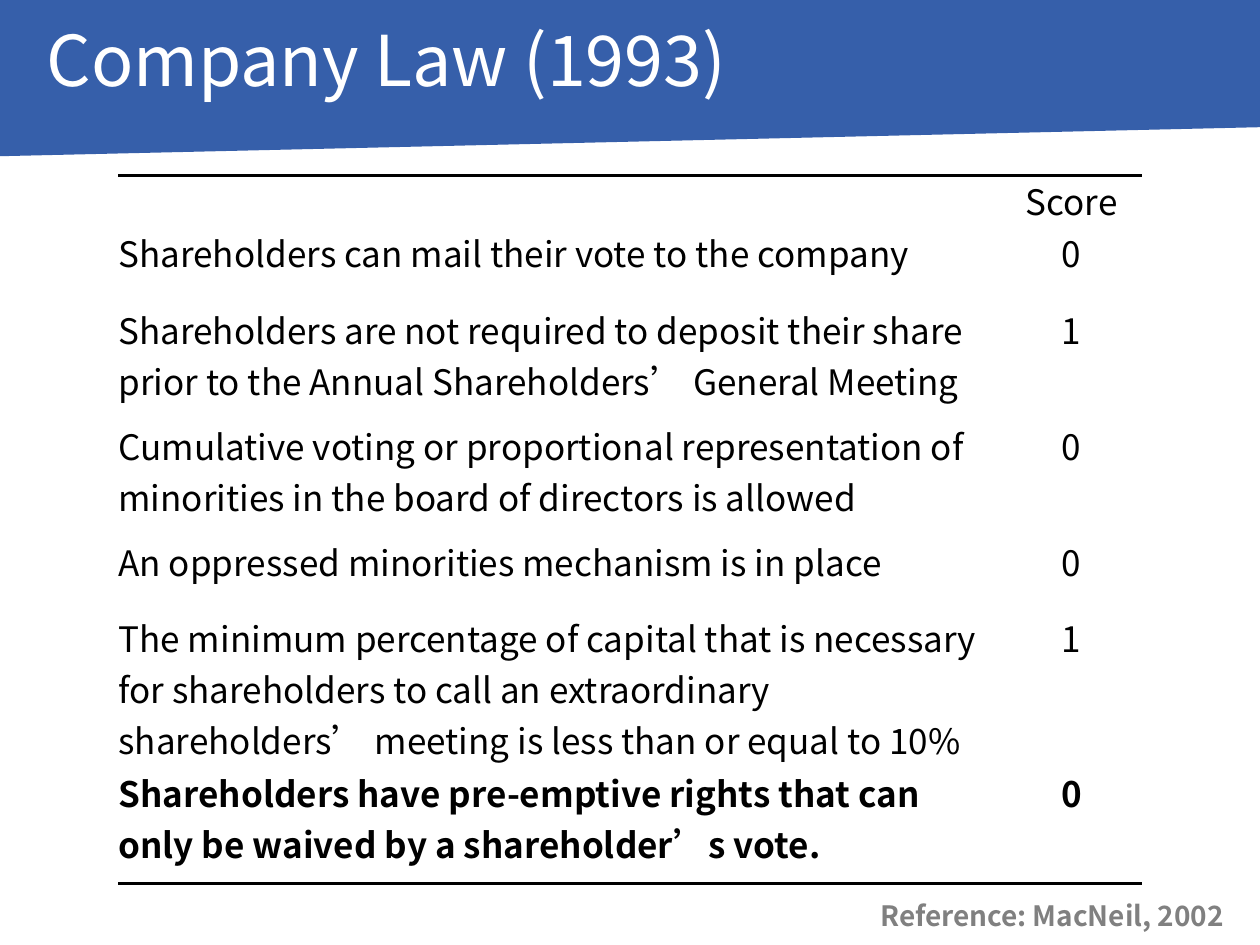
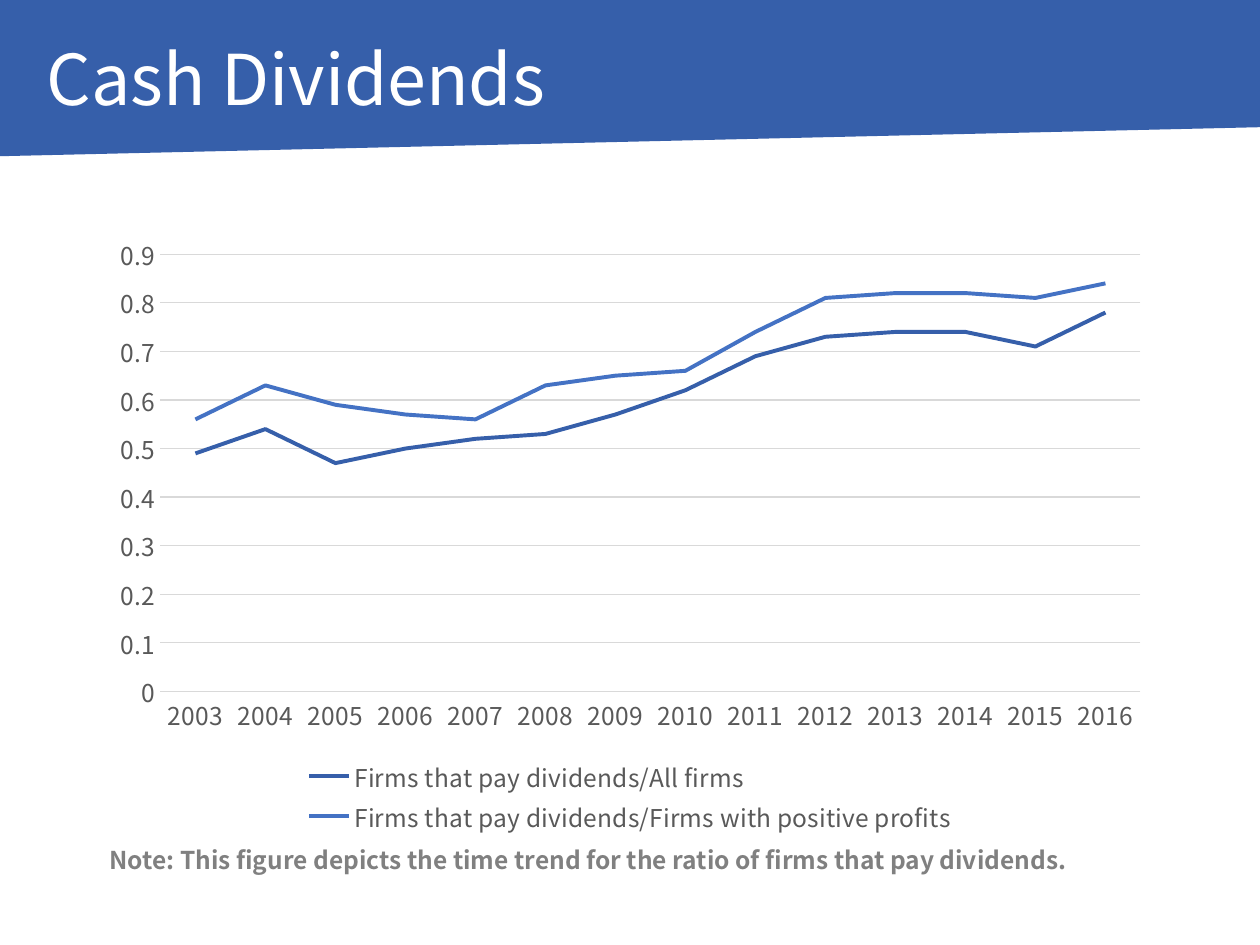
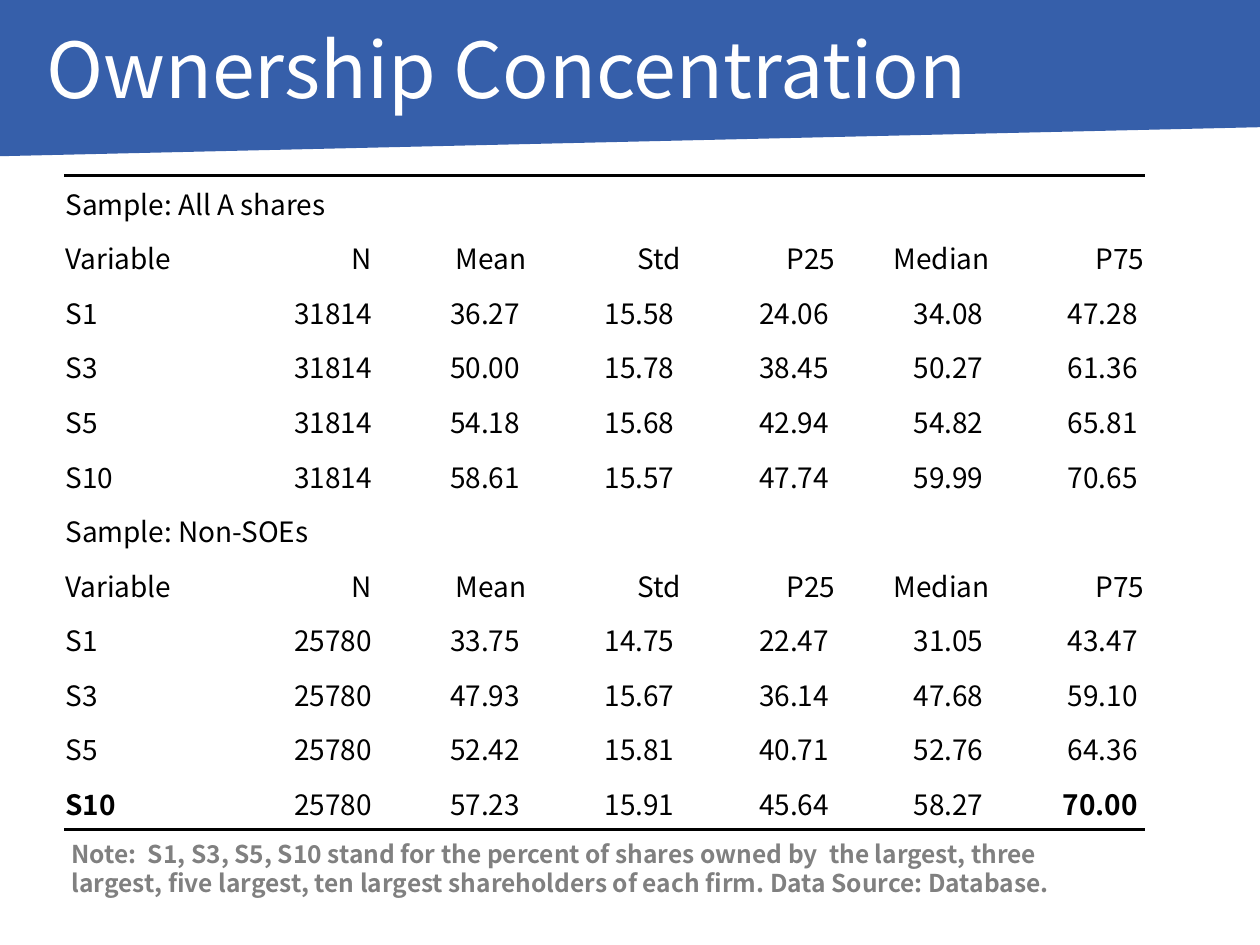
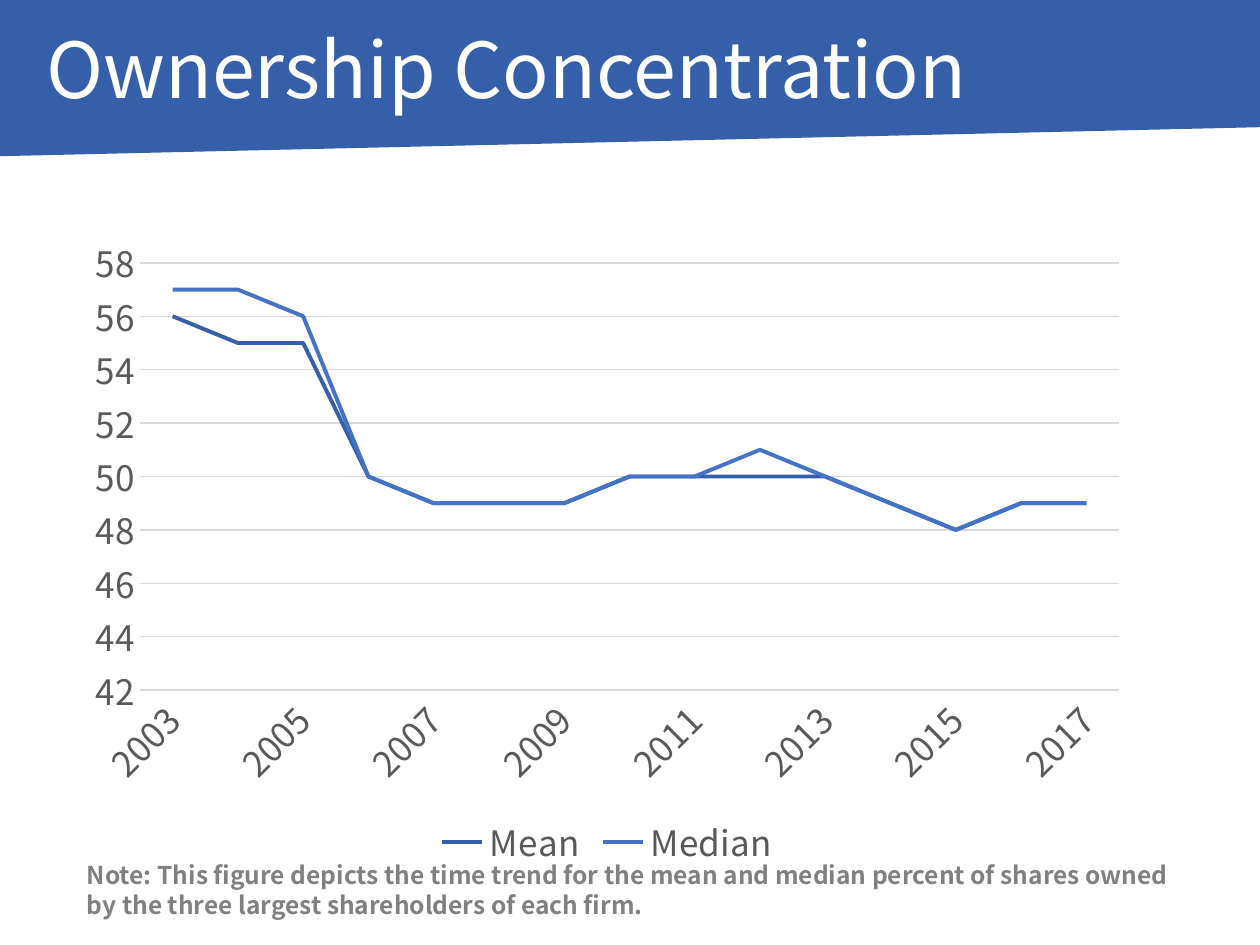
from pptx import Presentation
from pptx.chart.data import CategoryChartData
from pptx.dml.color import RGBColor
from pptx.enum.chart import XL_CHART_TYPE, XL_LEGEND_POSITION, XL_TICK_MARK
from pptx.enum.text import MSO_ANCHOR, PP_ALIGN
from pptx.oxml import parse_xml
from pptx.oxml.ns import nsdecls, qn
from pptx.util import Inches, Pt

LINE, BOTTOM, NO_TICK = XL_CHART_TYPE.LINE, XL_LEGEND_POSITION.BOTTOM, XL_TICK_MARK.NONE
TOP, MIDDLE = MSO_ANCHOR.TOP, MSO_ANCHOR.MIDDLE
LEFT, CENTER, RIGHT = PP_ALIGN.LEFT, PP_ALIGN.CENTER, PP_ALIGN.RIGHT

BLUE = RGBColor(0x36, 0x5F, 0xAA)
LIGHT_BLUE = RGBColor(0x44, 0x72, 0xC4)
WHITE = RGBColor(0xFF, 0xFF, 0xFF)
BLACK = RGBColor(0, 0, 0)
NOTE_GREY = RGBColor(0x80, 0x80, 0x80)
LABEL_GREY = RGBColor(0x59, 0x59, 0x59)
GRID_GREY = RGBColor(0xD9, 0xD9, 0xD9)
FONT = "Noto Sans CJK SC"
PLAIN_TABLE_STYLE = "{2D5ABB26-0587-4C30-8999-92F81FD0307C}"


def set_font(font, size, color, bold=False):
    for name, value in {"name": FONT, "size": Pt(size), "bold": bold}.items():
        setattr(font, name, value)
    font.color.rgb = color


def add_text(s, box, text, size, color, bold=False, wrap=True):
    tf = s.shapes.add_textbox(*map(Inches, box)).text_frame
    tf.word_wrap = wrap
    p = tf.paragraphs[0]
    r = p.add_run()
    r.text = text
    set_font(r.font, size, color, bold)
    return tf


prs = Presentation()
prs.slide_width, prs.slide_height = Inches(10), Inches(7.5)

# Blue band, title and note of every slide
titles = [
    ("Company Law (1993)", 0.17, 40),
    ("Cash Dividends", 0.32, 40),
    ("Ownership Concentration", 0.25, 44),
    ("Ownership Concentration", 0.25, 44),
]
notes = [
    ("Reference: MacNeil, 2002", (6.89, 7.08, 3.07, 0.37), 16, False),
    ("Note: This figure depicts the time trend for the ratio of firms that pay dividends.",
     (0.77, 6.66, 8.89, 0.34), 14, True),
    ("Note:  S1, S3, S5, S10 stand for the percent of shares owned by  the largest, three "
     "largest, five largest, ten largest shareholders of each firm. Data Source: Database.",
     (0.47, 6.61, 8.62, 0.57), 14, True),
    ("Note: This figure depicts the time trend for the mean and median percent of shares "
     "owned by the three largest shareholders of each firm.",
     (0.59, 6.78, 8.89, 0.57), 14, True),
]
slides = []
for (title, top, title_size), (note, note_box, note_size, wrap) in zip(titles, notes):
    s = prs.slides.add_slide(prs.slide_layouts[6])
    slides.append(s)
    fb = s.shapes.build_freeform(0, 0, scale=Inches(1) / 100)
    fb.add_line_segments([(1000, 0), (1000, 101), (0, 124)])
    band = fb.convert_to_shape()
    band.fill.solid()
    band.fill.fore_color.rgb = BLUE
    band.line.fill.background()
    band.shadow.inherit = False

    tf = add_text(s, (0.27, top, 9.09, 0.67), title, title_size, WHITE)
    tf.vertical_anchor = MIDDLE
    tf.paragraphs[0].line_spacing = 0.9
    tf.paragraphs[0].space_before = Pt(10)
    add_text(s, note_box, note, note_size, NOTE_GREY, bold=True, wrap=wrap)

# Tables: a rule above the first row and below the last
law_rows = [
    ["", "Score"],
    ["Shareholders can mail their vote to the company", "0"],
    ["Shareholders are not required to deposit their share prior to the Annual "
     "Shareholders’ General Meeting", "1"],
    ["Cumulative voting or proportional representation of minorities in the board of "
     "directors is allowed", "0"],
    ["An oppressed minorities mechanism is in place", "0"],
    ["The minimum percentage of capital that is necessary for shareholders to call an "
     "extraordinary shareholders’ meeting is less than or equal to 10%", "1"],
    ["Shareholders have pre-emptive rights that can only be waived by a shareholder’s vote.",
     "0"],
]
samples = [
    ("Sample: All A shares", "31814", [
        ("S1", "36.27", "15.58", "24.06", "34.08", "47.28"),
        ("S3", "50.00", "15.78", "38.45", "50.27", "61.36"),
        ("S5", "54.18", "15.68", "42.94", "54.82", "65.81"),
        ("S10", "58.61", "15.57", "47.74", "59.99", "70.65")]),
    ("Sample: Non-SOEs", "25780", [
        ("S1", "33.75", "14.75", "22.47", "31.05", "43.47"),
        ("S3", "47.93", "15.67", "36.14", "47.68", "59.10"),
        ("S5", "52.42", "15.81", "40.71", "52.76", "64.36"),
        ("S10", "57.23", "15.91", "45.64", "58.27", "70.00")]),
]
share_rows = []
for sample, count, stats in samples:
    share_rows.append([sample] + [""] * 6)
    share_rows.append(["Variable", "N", "Mean", "Std", "P25", "Median", "P75"])
    for variable, *values in stats:
        share_rows.append([variable, count] + [f"{v} " for v in values])

tables = [
    dict(s=slides[0], box=(0.94, 1.39, 8.12, 5.55), rows=law_rows, widths=[7.01, 1.11],
         heights=[0.41, 0.61, 0.92, 0.92, 0.61, 1.23, 0.92], size=20, align=CENTER,
         anchor=TOP, margins=(0, 0, 0, 0), bold={(6, 0), (6, 1)}, spans=[]),
    dict(s=slides[2], box=(0.51, 1.39, 8.58, 5.2), rows=share_rows, widths=[8.58 / 7] * 7,
         heights=[5.2 / 12] * 12, size=16, align=RIGHT, anchor=MIDDLE,
         margins=(0.01, 0.01, 0.01, 0), bold={(11, 0), (11, 6)},
         spans=[(0, 2), (6, 1)]),
]
for t in tables:
    rows = t["rows"]
    table = t["s"].shapes.add_table(len(rows), len(rows[0]), *map(Inches, t["box"])).table
    table.first_row = table.horz_banding = False
    table._tbl.tblPr.find(qn("a:tableStyleId")).text = PLAIN_TABLE_STYLE
    for column, width in zip(table.columns, t["widths"]):
        column.width = Inches(width)
    for row, height in zip(table.rows, t["heights"]):
        row.height = Inches(height)
    for i, texts in enumerate(rows):
        for j, text in enumerate(texts):
            cell = table.cell(i, j)
            cell.fill.solid()
            cell.fill.fore_color.rgb = WHITE
            cell.vertical_anchor = t["anchor"]
            for side, margin in zip(("left", "top", "right", "bottom"), t["margins"]):
                setattr(cell, f"margin_{side}", Inches(margin))
            if text:
                p = cell.text_frame.paragraphs[0]
                p.alignment = t["align"] if j else LEFT
                r = p.add_run()
                r.text = text
                set_font(r.font, t["size"], BLACK, (i, j) in t["bold"])
            edge = {0: "lnT", len(rows) - 1: "lnB"}.get(i)
            if edge:
                cell._tc.get_or_add_tcPr().insert(0, parse_xml(
                    f'<a:{edge} {nsdecls("a")} w="{Pt(2)}"><a:solidFill>'
                    f'<a:srgbClr val="{BLACK}"/></a:solidFill></a:{edge}>'))
    for i, last in t["spans"]:
        table.cell(i, 0).merge(table.cell(i, last))

# Line charts
charts = [
    dict(s=slides[1], box=(0.79, 1.78, 8.43, 4.88), size=14, years=range(2003, 2017),
         scale=(0, 0.9, 0.1), series={
             "Firms that pay dividends/All firms":
                 [0.49, 0.54, 0.47, 0.5, 0.52, 0.53, 0.57, 0.62, 0.69, 0.73, 0.74, 0.74,
                  0.71, 0.78],
             "Firms that pay dividends/Firms with positive profits":
                 [0.56, 0.63, 0.59, 0.57, 0.56, 0.63, 0.65, 0.66, 0.74, 0.81, 0.82, 0.82,
                  0.81, 0.84]}),
    dict(s=slides[3], box=(0.59, 1.78, 8.46, 5.16), size=20, years=range(2003, 2018),
         scale=(42, 58, 2), series={
             "Mean": [56, 55, 55, 50, 49, 49, 49, 50, 50, 50, 50, 49, 48, 49, 49],
             "Median": [57, 57, 56, 50, 49, 49, 49, 50, 50, 51, 50, 49, 48, 49, 49]}),
]
for c in charts:
    data = CategoryChartData()
    data.categories = [str(year) for year in c["years"]]
    for name, values in c["series"].items():
        data.add_series(name, values)
    chart = c["s"].shapes.add_chart(LINE, *map(Inches, c["box"]), data).chart
    set_font(chart.font, c["size"], BLACK)
    chart.has_title = False
    chart.has_legend = True
    chart.legend.position = BOTTOM
    chart.legend.include_in_layout = False
    set_font(chart.legend.font, c["size"], LABEL_GREY)

    cat_axis, val_axis = chart.category_axis, chart.value_axis
    for axis in (cat_axis, val_axis):
        axis.major_tick_mark = axis.minor_tick_mark = NO_TICK
        set_font(axis.tick_labels.font, c["size"], LABEL_GREY)
    # This rotation value lets the labels turn only when they lack room
    cat_axis._element.txPr.find(qn("a:bodyPr")).set("rot", "-60000000")
    val_axis.minimum_scale, val_axis.maximum_scale, val_axis.major_unit = c["scale"]
    val_axis.format.line.fill.background()
    for line in (cat_axis.format.line, val_axis.major_gridlines.format.line):
        line.color.rgb = GRID_GREY
        line.width = Pt(0.75)

    chart.plots[0].vary_by_categories = False
    for series, color in zip(chart.plots[0].series, (BLUE, LIGHT_BLUE)):
        series.smooth = False
        series.format.line.color.rgb = color
        series.format.line.width = Pt(2.25)

prs.save("out.pptx")
